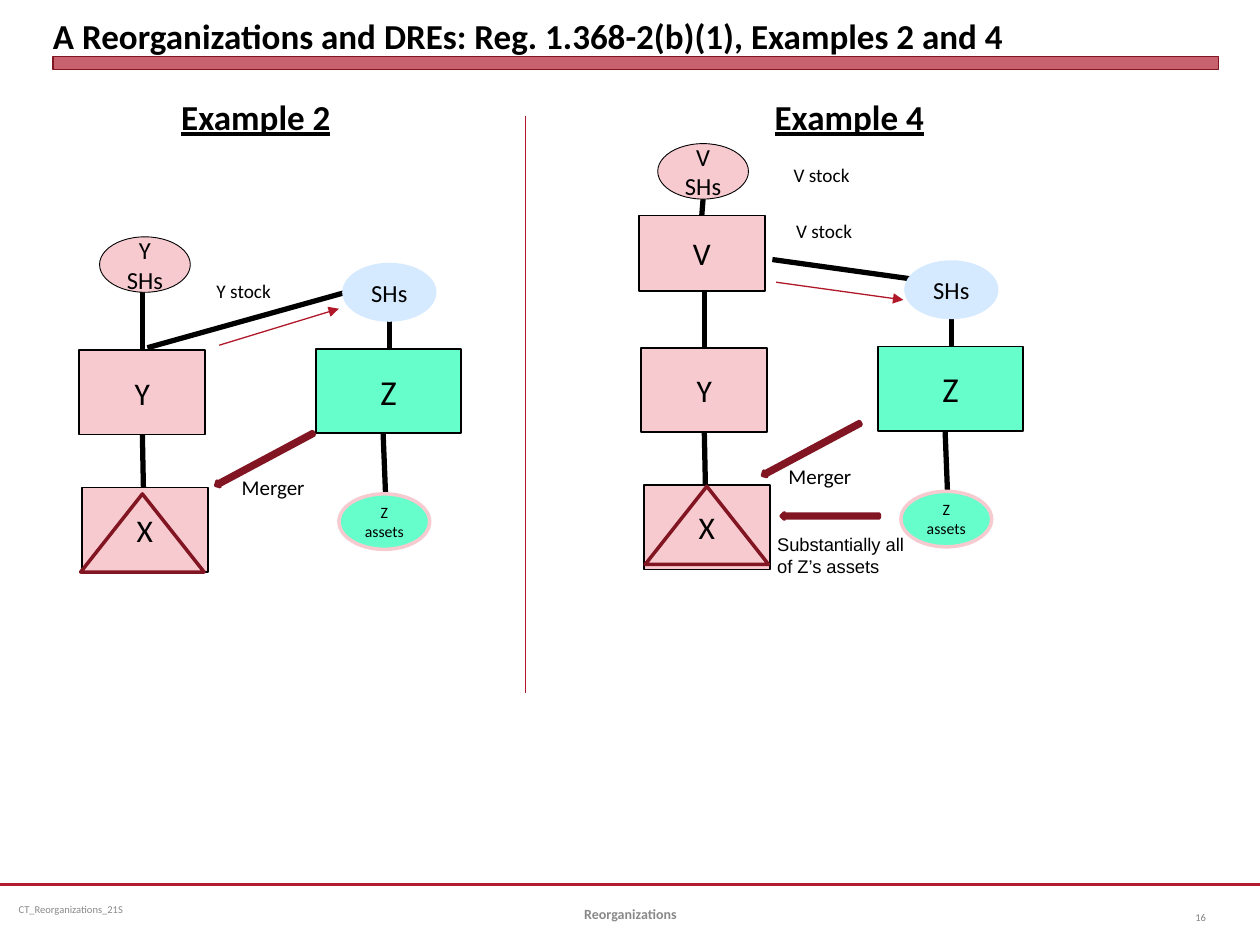
from lxml.etree import SubElement
from pptx import Presentation
from pptx.dml.color import RGBColor
from pptx.enum.shapes import MSO_CONNECTOR, MSO_SHAPE
from pptx.enum.text import MSO_ANCHOR, PP_ALIGN
from pptx.oxml.ns import qn
from pptx.util import Inches, Pt

COLORS = {
    "black": "000000", "pink": "F7CAD0", "green": "66FFCC", "blue": "D6EAFF",
    "red": "B01C2E", "thin_red": "B0182A", "dark_red": "821522",
    "footer": "898989", "number": "808080",
}
LEFT, CENTER, RIGHT = PP_ALIGN.LEFT, PP_ALIGN.CENTER, PP_ALIGN.RIGHT
TOP, MIDDLE, BOTTOM = MSO_ANCHOR.TOP, MSO_ANCHOR.MIDDLE, MSO_ANCHOR.BOTTOM


def write_text(shape, text, size, color="black", align=LEFT, anchor=TOP, wrap=True, **font_format):
    frame = shape.text_frame
    frame.word_wrap = wrap
    frame.vertical_anchor = anchor
    paragraph = frame.paragraphs[0]
    paragraph.text = text
    paragraph.alignment = align
    font = paragraph.runs[0].font
    values = {"name": "Calibri", "size": Pt(size), **font_format}
    for name, value in values.items():
        setattr(font, name, value)
    font.color.rgb = RGBColor.from_string(COLORS[color])


def draw_shape(kind, box, fill, line, width):
    shape = slide.shapes.add_shape(kind, *map(Inches, box))
    shape.shadow.inherit = False
    if fill:
        shape.fill.solid()
        shape.fill.fore_color.rgb = RGBColor.from_string(COLORS[fill])
    else:
        shape.fill.background()
    shape.line.color.rgb = RGBColor.from_string(COLORS[line])
    shape.line.width = Pt(width)
    if line == "dark_red":
        SubElement(shape.line._get_or_add_ln(), qn("a:round"))
    return shape


presentation = Presentation()
presentation.slide_width = Inches(10)
presentation.slide_height = Inches(7.5)
slide = presentation.slides.add_slide(presentation.slide_layouts[5])

title_bar = draw_shape(MSO_SHAPE.RECTANGLE, (0.42, 0.45, 9.25, 0.1), "red", "dark_red", 0)
bar_color = title_bar.fill._xPr.find(qn("a:solidFill"))[0]
SubElement(bar_color, qn("a:alpha"), val="69000")

title = slide.shapes.title
title_format = {"left": 0.42, "top": 0.05, "width": 9.25, "height": 0.4}
for name, value in title_format.items():
    setattr(title, name, Inches(value))
for side in ("left", "top", "right", "bottom"):
    setattr(title.text_frame, f"margin_{side}", 0)
write_text(title, "A Reorganizations and DREs: Reg. 1.368-2(b)(1), Examples 2 and 4", 20,
           anchor=BOTTOM, bold=True)

example_offsets = [(0, 0), (4.46, -0.02)]

lines = [
    (0, 7.02, 10, 7.02, "red", 1.25, False),
    (4.17, 0.92, 4.17, 5.5, "thin_red", 0.75, False),
    (1.17, 2.76, 2.96, 2.26, "black", 3, False),
    (1.74, 2.74, 2.69, 2.45, "thin_red", 0.75, True),
    (6.13, 2.06, 7.42, 2.24, "black", 3, False),
    (6.16, 2.24, 7.17, 2.38, "thin_red", 0.75, True),
    (5.58, 1.58, 5.57, 1.71, "black", 3, False),
]
ownership_lines = [
    (1.13, 2.32, 1.13, 2.78),
    (1.13, 3.45, 1.14, 3.95),
    (3.09, 2.52, 3.09, 2.77),
    (3.04, 3.42, 3.06, 3.92),
]
for dx, dy in example_offsets:
    for x1, y1, x2, y2 in ownership_lines:
        lines.append((x1 + dx, y1 + dy, x2 + dx, y2 + dy, "black", 3, False))

for x1, y1, x2, y2, color, width, arrow in lines:
    connector = slide.shapes.add_connector(MSO_CONNECTOR.STRAIGHT, *map(Inches, (x1, y1, x2, y2)))
    connector.line.color.rgb = RGBColor.from_string(COLORS[color])
    connector.line.width = Pt(width)
    if arrow:
        SubElement(connector.line._get_or_add_ln(), qn("a:tailEnd"), type="triangle")
    SubElement(connector._element.spPr, qn("a:effectLst"))

RECTANGLE, OVAL = MSO_SHAPE.RECTANGLE, MSO_SHAPE.OVAL
entities = [
    (RECTANGLE, 5.07, 1.71, 1, 0.6, "pink", "black", 1, "V", 18),
    (OVAL, 0.79, 1.88, 0.72, 0.44, "pink", "black", 0.5, "Y SHs", 14),
    (OVAL, 5.22, 1.14, 0.72, 0.44, "pink", "black", 0.5, "V SHs", 14),
]
shared_entities = [
    (RECTANGLE, 0.63, 2.78, 1, 0.67, "pink", "black", 1, "Y", 18),
    (RECTANGLE, 0.65, 3.87, 1, 0.67, "pink", "black", 1, "X", 18),
    (RECTANGLE, 2.51, 2.77, 1.15, 0.67, "green", "black", 1, "Z", 20),
    (OVAL, 2.73, 2.1, 0.72, 0.44, "blue", "blue", 2, "SHs", 14),
    (OVAL, 2.69, 3.92, 0.72, 0.44, "green", "pink", 2, "Z assets", 9),
]
for dx, dy in example_offsets:
    for kind, left, top, *rest in shared_entities:
        entities.append((kind, left + dx, top + dy, *rest))

for kind, left, top, width, height, fill, line, weight, text, size in entities:
    entity = draw_shape(kind, (left, top, width, height), fill, line, weight)
    write_text(entity, text, size, align=CENTER, anchor=MIDDLE, wrap=kind == OVAL)

for left, top in [(0.64, 3.92), (5.12, 3.86)]:
    draw_shape(MSO_SHAPE.ISOSCELES_TRIANGLE, (left, top, 0.98, 0.62), None, "dark_red", 2)

for left, top, width, rotation in [
    (1.66, 3.62, 0.88, 151.9), (6, 3.54, 0.88, 151.9), (6.2, 4.07, 0.78, 180),
]:
    arrow = draw_shape(MSO_SHAPE.RIGHT_ARROW, (left, top, width, 0.05), "red", "dark_red", 2)
    arrow.rotation = rotation
    arrow.adjustments[0] = 0.61

heading = {"size": 20, "wrap": False, "bold": True, "underline": True}
stock = {"size": 11}
merger = {"size": 12, "wrap": False}
labels = [
    (1.34, 0.71, 1.4, 0.44, "Example 2", heading),
    (6.05, 0.71, 1.4, 0.44, "Example 4", heading),
    (1.62, 2.17, 1.54, 0.29, "Y stock", stock),
    (6.2, 1.25, 1.54, 0.29, "V stock", stock),
    (6.22, 1.69, 1.54, 0.29, "V stock", stock),
    (1.82, 3.72, 0.7, 0.3, "Merger", merger),
    (6.16, 3.63, 0.7, 0.3, "Merger", merger),
    (6.07, 4.18, 1.26, 0.46, "Substantially all of Z’s assets", {"size": 10.5, "name": "Arial"}),
    (0.05, 7.02, 2.58, 0.4, "CT_Reorganizations_21S", {"size": 6, "color": "footer", "anchor": MIDDLE}),
    (3.42, 7.05, 3.17, 0.4, "Reorganizations",
     {"size": 8, "color": "footer", "align": CENTER, "anchor": MIDDLE, "bold": True}),
    (9.17, 7.08, 0.5, 0.4, "16", {"size": 6, "color": "number", "align": RIGHT, "anchor": MIDDLE}),
]
for left, top, width, height, text, text_format in labels:
    label = slide.shapes.add_textbox(*map(Inches, (left, top, width, height)))
    write_text(label, text, **text_format)

presentation.save("out.pptx")
